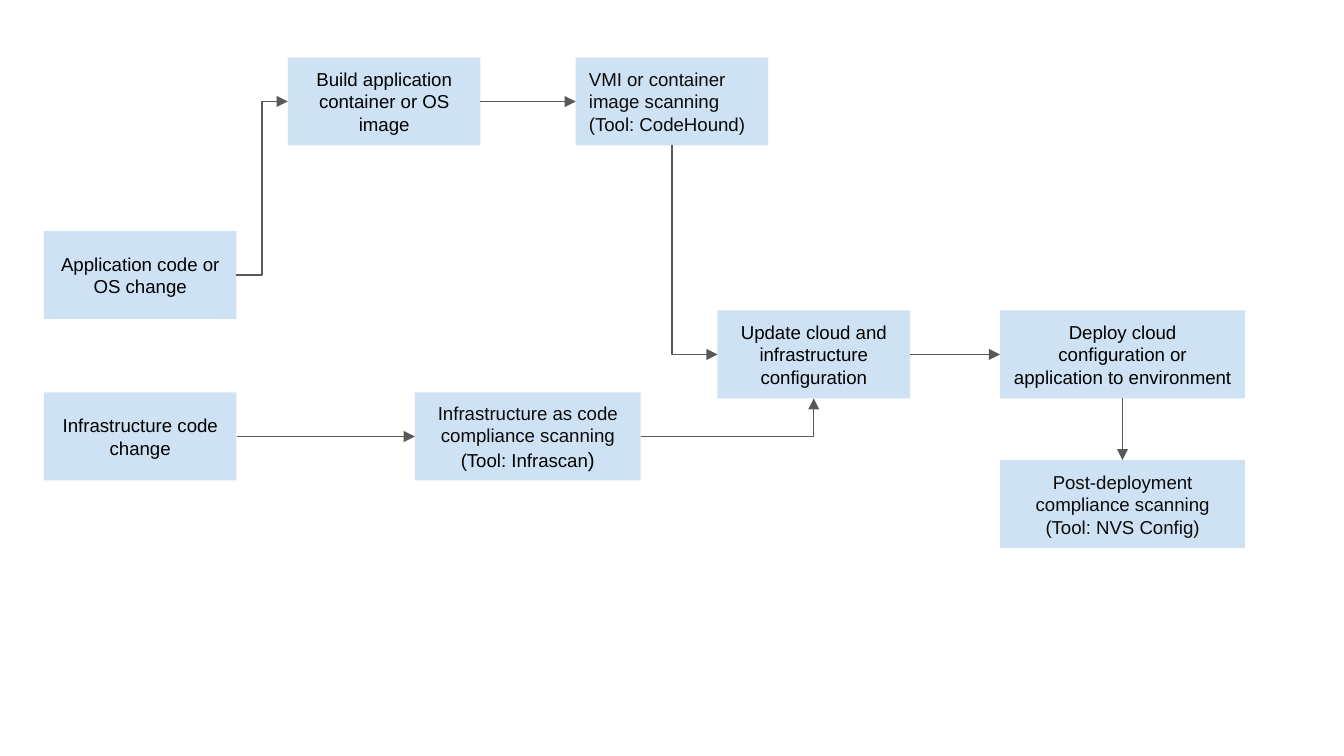
from lxml import etree
from pptx import Presentation
from pptx import util as u
from pptx.dml.color import RGBColor
from pptx.enum import shapes, text
from pptx.oxml.ns import qn

COLORS = {"box": "CFE2F3", "line": "595959", "black": "000000", "ink": "0B0B0B"}
ROW_H = 1.66
STEP_W, SCAN_W, DEPLOY_W = 3.64, 4.27, 4.63
TOP, APP, UPDATE, INFRA, POST = 1.09, 4.37, 5.87, 7.42, 8.7
CENTER, LEFT = text.PP_ALIGN.CENTER, text.PP_ALIGN.LEFT


def rgb(name):
    """Return the named colour."""
    return RGBColor.from_string(COLORS[name])


def add_box(s, x, y, w, paragraphs, align=CENTER):
    """Add a step whose paragraphs are lists of (text, colour, size) runs."""
    sp = s.shapes.add_shape(shapes.MSO_SHAPE.RECTANGLE,
                            u.Cm(x), u.Cm(y), u.Cm(w), u.Cm(ROW_H))
    sp.shadow.inherit = False
    sp.fill.solid()
    sp.fill.fore_color.rgb = rgb("box")
    sp.line.fill.background()
    tf = sp.text_frame
    tf.word_wrap = True
    tf.vertical_anchor = text.MSO_ANCHOR.MIDDLE
    tf.margin_left = tf.margin_right = tf.margin_top = tf.margin_bottom = u.Cm(0.25)
    for i, runs in enumerate(paragraphs):
        p = tf.add_paragraph() if i else tf.paragraphs[0]
        p.alignment = align
        for words, color, size in runs:
            r = p.add_run()
            r.text = words
            r.font.name = "Arial"
            r.font.size = u.Pt(size)
            r.font.color.rgb = rgb(color)
    return sp


def side(sp, name):
    """Return the middle point of one side of a shape."""
    fx, fy = {"left": (0, 0.5), "right": (1, 0.5),
              "top": (0.5, 0), "bottom": (0.5, 1)}[name]
    return int(sp.left + fx * sp.width), int(sp.top + fy * sp.height)


def add_arrow(s, a, a_side, b, b_side):
    """Join two steps with an arrow, straight or bent as their sides require."""
    (x1, y1), (x2, y2) = side(a, a_side), side(b, b_side)
    straight = x1 == x2 or y1 == y2
    corner = (a_side in ("top", "bottom")) != (b_side in ("top", "bottom"))
    turned = not straight and a_side == "bottom"
    if turned:
        cx, cy, dx, dy = (x1 + x2) // 2, (y1 + y2) // 2, x2 - x1, y2 - y1
        x1, x2 = cx - dy // 2, cx + dy // 2
        y1, y2 = cy + dx // 2, cy - dx // 2
    kind = shapes.MSO_CONNECTOR.STRAIGHT if straight else shapes.MSO_CONNECTOR.ELBOW
    c = s.shapes.add_connector(kind, x1, y1, x2, y2)
    c.line.color.rgb = rgb("line")
    c.line.width = u.Pt(0.75)
    props = c._element.spPr
    if corner:
        props.find(qn("a:prstGeom")).set("prst", "bentConnector2")
    if turned:
        props.find(qn("a:xfrm")).set("rot", "5400000")
    etree.SubElement(props.find(qn("a:ln")), qn("a:tailEnd"), type="triangle")
    etree.SubElement(props, qn("a:effectLst"))


def add_flow(s):
    """Draw the steps from code change to deployment and the arrows between them."""
    def step(x, y, w, words):
        """Add a centred step with a single black run."""
        return add_box(s, x, y, w, [[(words, "black", 10)]])

    build = step(5.44, TOP, STEP_W, "Build application container or OS image")
    deploy = step(18.9, UPDATE, DEPLOY_W,
                  "Deploy cloud configuration or application to environment")
    update = step(13.56, UPDATE, STEP_W,
                  "Update cloud and infrastructure configuration")
    app = step(0.83, APP, STEP_W, "Application code or OS change")
    infra = step(0.83, INFRA, STEP_W, "Infrastructure code change")
    image_scan = add_box(s, 10.88, TOP, STEP_W, [
        [("VMI or container image scanning (Tool: CodeHound)", "ink", 10)]], LEFT)
    code_scan = add_box(s, 7.84, INFRA, SCAN_W, [
        [("Infrastructure as code compliance scanning ", "ink", 10),
         ("(Tool: Infrascan", "black", 10), (")", "black", 11)]])
    post = add_box(s, 18.9, POST, DEPLOY_W, [
        [("Post-deployment compliance scanning", "ink", 10)],
        [("(Tool: NVS Config)", "ink", 10)]])

    for a, a_side, b, b_side in [
            (app, "right", build, "left"),
            (build, "right", image_scan, "left"),
            (image_scan, "bottom", update, "left"),
            (infra, "right", code_scan, "left"),
            (code_scan, "right", update, "bottom"),
            (update, "right", deploy, "left"),
            (deploy, "bottom", post, "top")]:
        add_arrow(s, a, a_side, b, b_side)


def main():
    """Build and save the slide."""
    prs = Presentation()
    prs.slide_width, prs.slide_height = u.Cm(25.4), u.Cm(14.29)
    add_flow(prs.slides.add_slide(prs.slide_layouts[6]))
    prs.save("out.pptx")


if __name__ == "__main__":
    main()
